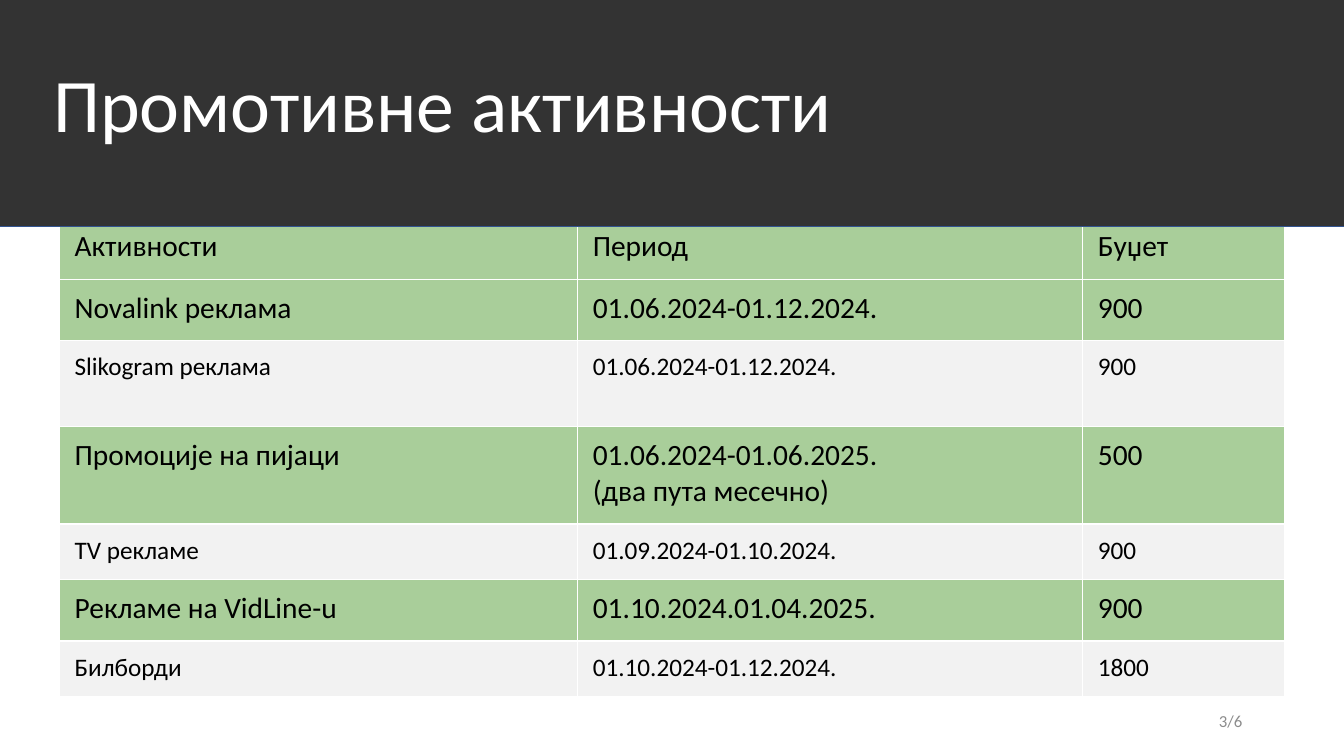
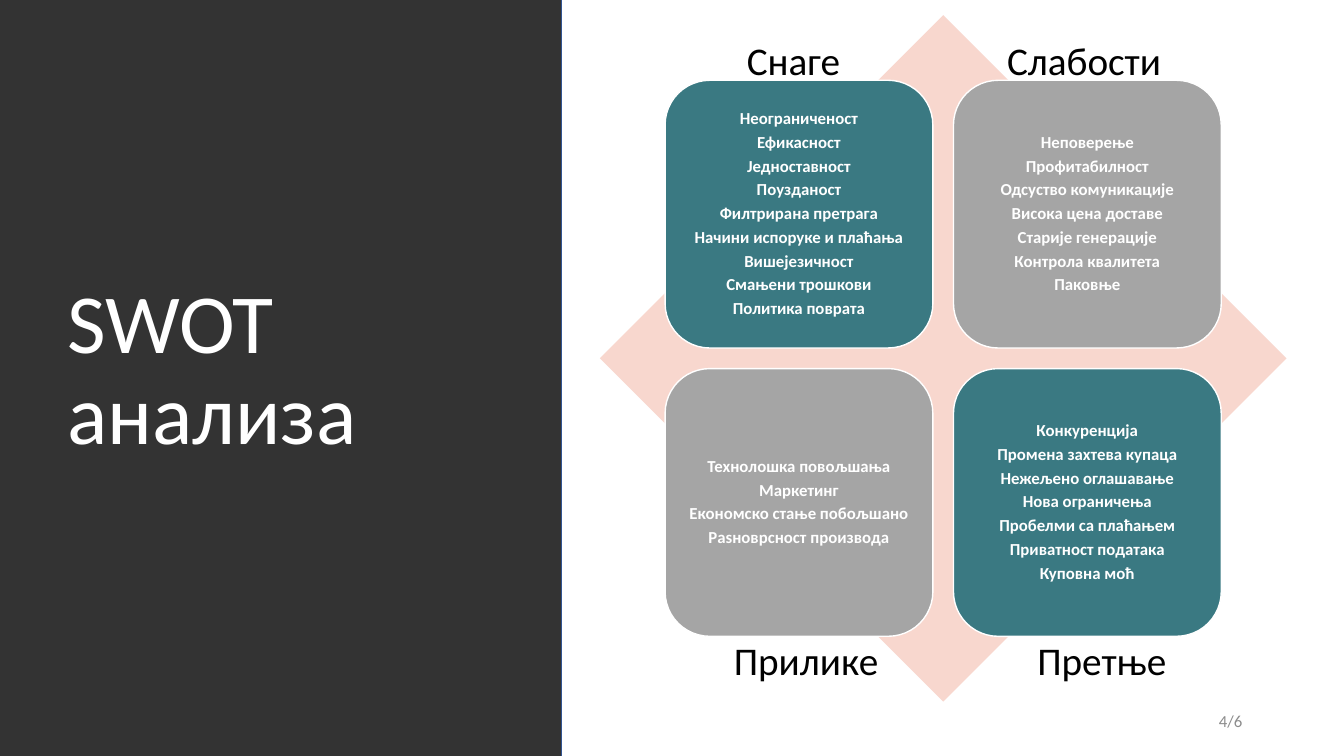
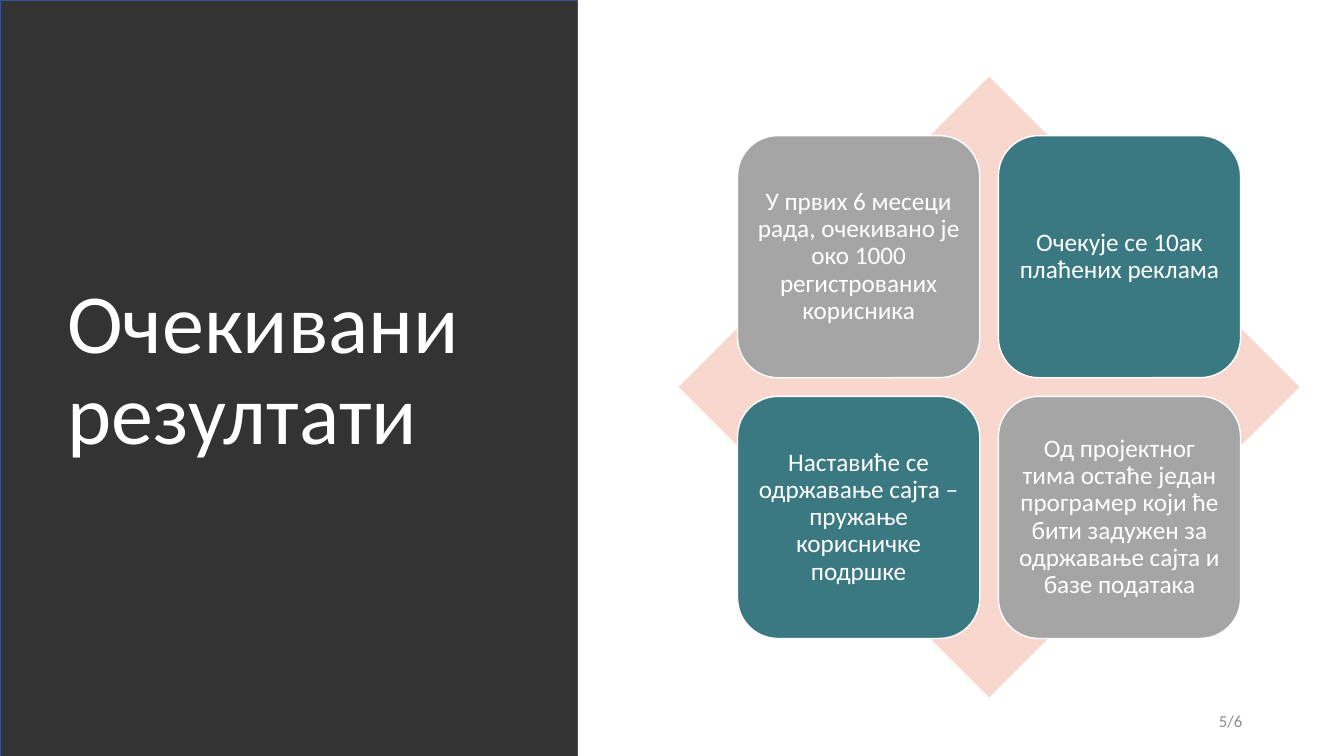
import itertools
from dataclasses import dataclass

import pptx
import pptx.dml.color
import pptx.enum.shapes
import pptx.enum.text
import pptx.util

Inches = pptx.util.Inches
SHAPES = pptx.enum.shapes.MSO_SHAPE
ALIGN = pptx.enum.text.PP_ALIGN
ANCHOR = pptx.enum.text.MSO_ANCHOR


@dataclass(frozen=True)
class Theme:
    font: str = "Calibri"
    dark: str = "333333"
    edge: str = "325491"
    white: str = "FFFFFF"
    black: str = "000000"
    footer: str = "8C8C8C"
    diamond: str = "F8D7CE"
    teal: str = "3A7982"
    gray: str = "A5A5A5"
    green_row: str = "A9CE9A"
    light_row: str = "F2F2F2"
    title_wide: int = 54
    title_side: int = 60
    label: int = 28
    row_large: int = 21
    body: int = 18
    small: int = 12


THEME = Theme()
WIDTH, HEIGHT = 13.33, 7.5
TOTAL_PAGES = 6

# Content
ACTIVITIES = {
    "page": 3,
    "title": "Промотивне активности",
    "columns": (5.14, 5.01, 2),
    # (row height, large green row, cells)
    "rows": [
        (0.61, True, ("Активности", "Период", "Буџет")),
        (0.61, True, ("Novalink реклама", "01.06.2024-01.12.2024.", "900")),
        (0.85, False, ("Slikogram реклама", "01.06.2024-01.12.2024.", "900")),
        (0.97, True, ("Промоције на пијаци",
                      "01.06.2024-01.06.2025.\n(два пута месечно)", "500")),
        (0.55, False, ("TV рекламе", "01.09.2024-01.10.2024.", "900")),
        (0.61, True, ("Рекламе на VidLine-u", "01.10.2024.01.04.2025.", "900")),
        (0.55, False, ("Билборди", "01.10.2024-01.12.2024.", "1800")),
    ],
}

SWOT = {
    "page": 4,
    "title": "SWOT анализа",
    "panel": (-0.16, -0.1),
    "diagram": (5.95, 0.15, 6.81),
    "colors": (THEME.teal, THEME.gray, THEME.gray, THEME.teal),
    "text": {"size": THEME.small, "bold": True},
    "inset": 0.05,
    "tiles": [
        "Неограниченост\nЕфикасност\nЈедноставност\nПоузданост\n"
        "Филтрирана претрага\nНачини испоруке и плаћања\nВишејезичност\n"
        "Смањени трошкови\nПолитика поврата",
        "Неповерење\nПрофитабилност\nОдсуство комуникације\n"
        "Висока цена доставе\nСтарије генерације\nКонтрола квалитета\nПаковње",
        "Технолошка повољшања\nМаркетинг\nЕкономско стање побољшано\n"
        "Раѕноврсност производа",
        "Конкуренција\nПромена захтева купаца\nНежељено оглашавање\n"
        "Нова ограничења\nПробелми са плаћањем\nПриватност података\nКуповна моћ",
    ],
    # (text, left, top)
    "labels": [("Снаге", 7.31, 0.31), ("Слабости", 9.89, 0.31),
               ("Прилике", 7.18, 6.26), ("Претње", 10.19, 6.26)],
}

RESULTS = {
    "page": 5,
    "title": "Очекивани резултати",
    "panel": (0, 0),
    "diagram": (6.73, 0.76, 6.16),
    "colors": (THEME.gray, THEME.teal, THEME.teal, THEME.gray),
    "text": {"size": THEME.body},
    "inset": 0.07,
    "tiles": [
        "У првих 6 месеци рада, очекивано је око 1000 регистрованих корисника",
        "Очекује се 10ак плаћених реклама",
        "Наставиће се одржавање сајта – пружање корисничке подршке",
        "Од пројектног тима остаће један програмер који ће бити задужен за "
        "одржавање сајта и базе података",
    ],
    "labels": [],
}

# Diagram proportions, as shares of the diamond's side
TILE_SHARE = 0.39
MARGIN_SHARE = 0.095


def rgb(value):
    return pptx.dml.color.RGBColor.from_string(value)


def set_attributes(target, values):
    for name, value in values.items():
        setattr(target, name, value)


def write(frame, text, size, color, bold=False, **paragraph_format):
    """Put each line of the text in its own paragraph."""
    for index, line in enumerate(text.split("\n")):
        paragraph = frame.add_paragraph() if index else frame.paragraphs[0]
        set_attributes(paragraph, paragraph_format)
        run = paragraph.add_run()
        run.text = line
        set_attributes(run.font, {"name": THEME.font, "size": pptx.util.Pt(size), "bold": bold})
        run.font.color.rgb = rgb(color)


def add_shape(slide, kind, box, fill, line=None):
    shape = slide.shapes.add_shape(kind, *map(Inches, box))
    shape.shadow.inherit = False
    shape.fill.solid()
    shape.fill.fore_color.rgb = rgb(fill)
    if line:
        shape.line.color.rgb = rgb(line)
        shape.line.width = pptx.util.Pt(1)
    else:
        shape.line.fill.background()
    return shape


def add_text(slide, box, text, size, color, anchor=ANCHOR.MIDDLE, **paragraph_format):
    frame = slide.shapes.add_textbox(*map(Inches, box)).text_frame
    set_attributes(frame, {"word_wrap": True, "vertical_anchor": anchor})
    write(frame, text, size, color, **paragraph_format)


# Shared parts
def add_heading(slide, content, band, title_box, size):
    add_shape(slide, SHAPES.RECTANGLE, band, THEME.dark, THEME.edge)
    add_text(slide, title_box, content["title"], size, THEME.white, line_spacing=0.9)


def add_footer(slide, page):
    add_text(slide, (9.42, 6.95, 3, 0.4), f"{page}/{TOTAL_PAGES}",
             THEME.small, THEME.footer, alignment=ALIGN.RIGHT)


def add_activity_table(slide, content):
    columns, rows = content["columns"], content["rows"]
    heights = [row[0] for row in rows]
    box = (0.59, 2.16, sum(columns), sum(heights))
    table = slide.shapes.add_table(len(rows), len(columns), *map(Inches, box)).table
    for column, width in zip(table.columns, columns):
        column.width = Inches(width)
    for table_row, (height, large, texts) in zip(table.rows, rows):
        table_row.height = Inches(height)
        for cell, text in zip(table_row.cells, texts):
            cell.fill.solid()
            cell.fill.fore_color.rgb = rgb(THEME.green_row if large else THEME.light_row)
            set_attributes(cell, {
                "margin_left": Inches(0.15), "margin_right": Inches(0.15),
                "margin_top": Inches(0.11), "margin_bottom": Inches(0.11)})
            write(cell.text_frame, text, THEME.row_large if large else THEME.body, THEME.black)


def add_diamond_matrix(slide, content):
    left, top, side = content["diagram"]
    add_shape(slide, SHAPES.DIAMOND, (left, top, side, side), THEME.diamond)
    tile = side * TILE_SHARE
    offsets = (side * MARGIN_SHARE, side * (1 - MARGIN_SHARE - TILE_SHARE))
    inset = Inches(content["inset"])
    cells = itertools.product(offsets, offsets)
    for (down, across), text, color in zip(cells, content["tiles"], content["colors"]):
        shape = add_shape(slide, SHAPES.ROUNDED_RECTANGLE,
                          (left + across, top + down, tile, tile), color, THEME.white)
        set_attributes(shape.text_frame, {
            "word_wrap": True, "vertical_anchor": ANCHOR.MIDDLE,
            "margin_left": inset, "margin_right": inset,
            "margin_top": inset, "margin_bottom": inset})
        write(shape.text_frame, text, color=THEME.white, alignment=ALIGN.CENTER,
              line_spacing=0.9, space_after=pptx.util.Pt(content["text"]["size"] / 3),
              **content["text"])
    for text, label_left, label_top in content["labels"]:
        add_text(slide, (label_left, label_top, 1.9, 0.6), text, THEME.label,
                 THEME.black, anchor=ANCHOR.TOP)


# Slides
def build_activities(slide):
    add_activity_table(slide, ACTIVITIES)
    add_heading(slide, ACTIVITIES, (-0.08, -0.12, 13.49, 2.37),
                (0.43, 0.35, 12.48, 1.45), THEME.title_wide)
    add_footer(slide, ACTIVITIES["page"])


def build_matrix(slide, content):
    add_heading(slide, content, (*content["panel"], 5.73, 7.67),
                (0.57, 0.68, 4.16, 6.02), THEME.title_side)
    add_diamond_matrix(slide, content)
    add_footer(slide, content["page"])


def main():
    presentation = pptx.Presentation()
    presentation.slide_width = Inches(WIDTH)
    presentation.slide_height = Inches(HEIGHT)
    blank = presentation.slide_layouts[6]
    build_activities(presentation.slides.add_slide(blank))
    for content in (SWOT, RESULTS):
        build_matrix(presentation.slides.add_slide(blank), content)
    presentation.save("out.pptx")


if __name__ == "__main__":
    main()
